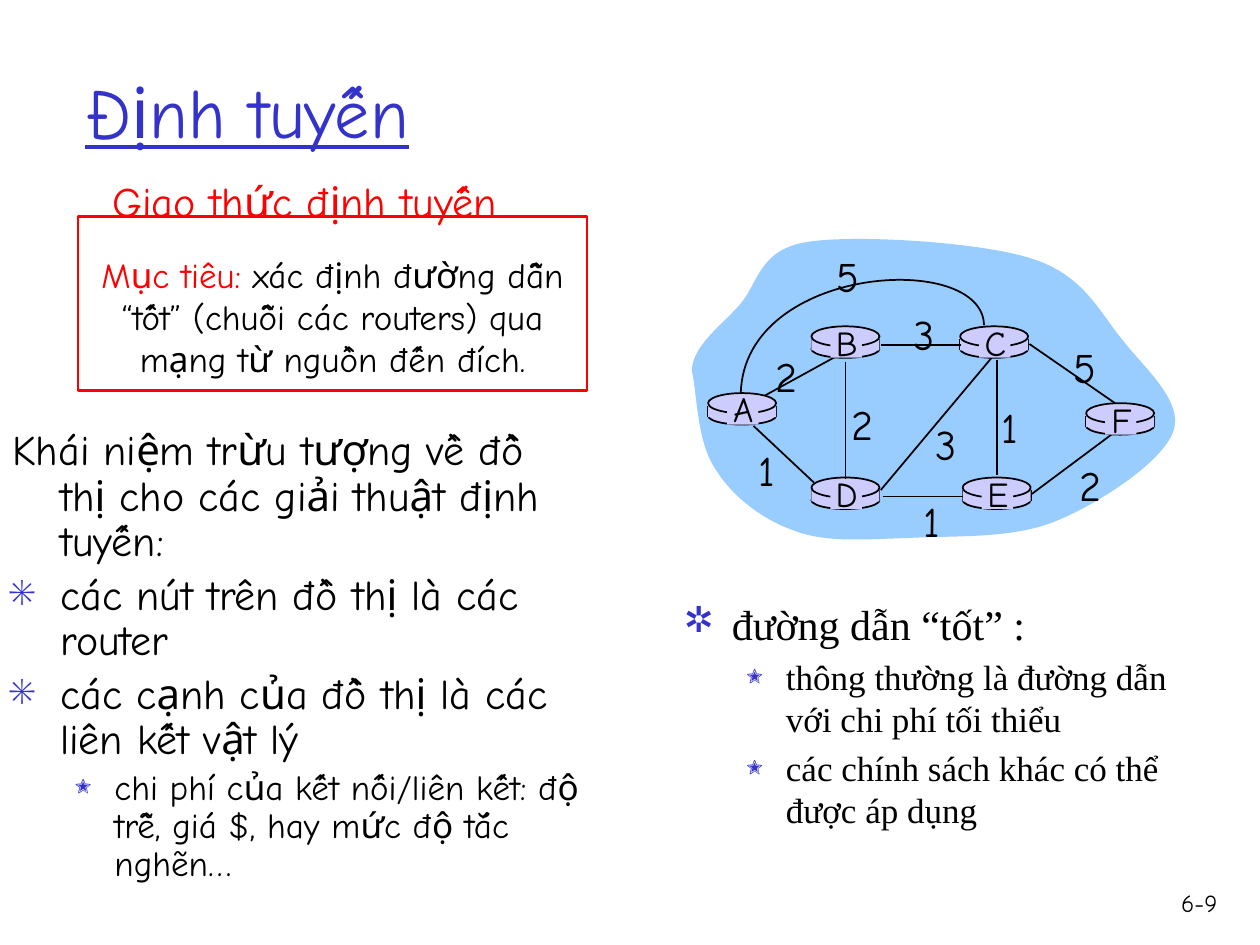
from lxml import etree
from pptx import Presentation
from pptx.dml.color import RGBColor
from pptx.enum.shapes import MSO_CONNECTOR, MSO_SHAPE
from pptx.enum.text import MSO_ANCHOR, PP_ALIGN
from pptx.oxml.ns import qn
from pptx.util import Inches, Pt

LEFT, MID, RIGHT = PP_ALIGN.LEFT, PP_ALIGN.CENTER, PP_ALIGN.RIGHT
CENTER = MSO_ANCHOR.MIDDLE
RECT, OVAL = MSO_SHAPE.RECTANGLE, MSO_SHAPE.OVAL
STRAIGHT = MSO_CONNECTOR.STRAIGHT
COMIC, TIMES, SIGNS = "Comic Neue", "Times New Roman", "ZapfDingbats"
BLACK, RED, BLUE = "000000", "FF0000", "3333CC"
LILAC, SKY = "CCCCFF", "99CCFF"
LEVELS = [(24, 0.38, 0.38, 85), (20, 0.81, 0.31, 75)]


def color(code):
    return RGBColor.from_string(code)


class Board:
    def __init__(self, slide):
        self.slide = slide
        self.shapes = slide.shapes

    def style(self, run, size, ink=BLACK, font=COMIC):
        run.font.size = Pt(size)
        run.font.name = font
        run.font.color.rgb = color(ink)

    def box(self, area, wrap=True):
        frame = self.shapes.add_textbox(*map(Inches, area)).text_frame
        frame.word_wrap = wrap
        return frame

    def text(self, area, words, size, ink=BLACK, align=MID, wrap=False):
        frame = self.box(area, wrap)
        frame.text = words
        para = frame.paragraphs[0]
        para.alignment = align
        self.style(para.runs[0], size, ink)
        return frame

    def bullet(self, props, mark, scale):
        tint = etree.SubElement(props, qn("a:buClr"))
        etree.SubElement(tint, qn("a:srgbClr"), val=BLUE)
        etree.SubElement(props, qn("a:buSzPct"), val=str(scale * 1000))
        etree.SubElement(props, qn("a:buFont"), typeface=SIGNS)
        etree.SubElement(props, qn("a:buChar"), char=mark)

    def list(self, area, items, font, space=1.0):
        frame = self.box(area)
        for i, (level, mark, words) in enumerate(items):
            para = frame.add_paragraph() if i else frame.paragraphs[0]
            para.text = words
            para.level = level
            size, margin, hang, scale = LEVELS[level]
            props = para._p.get_or_add_pPr()
            props.set("marL", str(Inches(margin)))
            props.set("indent", str(-Inches(hang)))
            if mark:
                self.bullet(props, mark, scale)
            para.line_spacing = space
            para.space_before = Pt(size * 0.2 if i else 0)
            self.style(para.runs[0], size, font=font)

    def paint(self, shape, fill, ink, width=1):
        shape.shadow.inherit = False
        if fill:
            shape.fill.solid()
            shape.fill.fore_color.rgb = color(fill)
        else:
            shape.fill.background()
        if ink:
            shape.line.color.rgb = color(ink)
            shape.line.width = Pt(width)
        else:
            shape.line.fill.background()

    def shape(self, kind, area, fill=None, ink=None, width=1):
        shape = self.shapes.add_shape(kind, *map(Inches, area))
        self.paint(shape, fill, ink, width)

    def curve(self, points, fill=None, ink=None, close=False):
        spots = [(Inches(x), Inches(y)) for x, y in points]
        build = self.shapes.build_freeform(*spots[0])
        build.add_line_segments(spots[1:], close=close)
        shape = build.convert_to_shape()
        parts = list(shape._element.iter(qn("a:lnTo")))
        for i in range(0, len(spots) - 1, 3):
            bend = etree.Element(qn("a:cubicBezTo"))
            parts[i].addprevious(bend)
            for part in parts[i:i + 3]:
                bend.append(part[0])
                part.getparent().remove(part)
        self.paint(shape, fill, ink)

    def line(self, *ends):
        line = self.shapes.add_connector(STRAIGHT, *map(Inches, ends))
        line.line.color.rgb = color(BLACK)
        line.line.width = Pt(1)
        etree.SubElement(line._element.spPr, qn("a:effectLst"))

    def router(self, x, y):
        self.shape(OVAL, (x, y + 0.01, 0.54, 0.14), LILAC, BLACK)
        for side in (x, x + 0.54):
            self.line(side, y, side, y + 0.09)
        self.shape(RECT, (x, y, 0.54, 0.09), LILAC)
        self.shape(OVAL, (x, y - 0.1, 0.54, 0.16), LILAC, BLACK)

    def label(self, name, x, y):
        self.shape(RECT, (x + 0.15, y - 0.08, 0.25, 0.23), LILAC)
        self.text((x + 0.09, y - 0.19, 0.38, 0.43), name, 20)


CLOUD = [
    (5.49, 2.94),
    (5.5, 2.74), (5.72, 2.59), (5.87, 2.42),
    (6.02, 2.25), (6.02, 1.98), (6.41, 1.92),
    (6.79, 1.86), (7.77, 1.92), (8.18, 2.05),
    (8.6, 2.18), (8.72, 2.47), (8.91, 2.7),
    (9.09, 2.93), (9.4, 3.19), (9.31, 3.43),
    (9.22, 3.67), (8.72, 4), (8.37, 4.14),
    (8.02, 4.28), (7.56, 4.25), (7.21, 4.27),
    (6.87, 4.28), (6.55, 4.31), (6.3, 4.21),
    (6.04, 4.12), (5.8, 3.93), (5.67, 3.71),
    (5.53, 3.5), (5.53, 3.1), (5.49, 2.94)]
ARC = [(7.81, 2.58), (7.8, 1.99), (5.92, 2.1), (5.88, 3.11)]
NODES = {"A": (5.62, 3.22), "D": (6.44, 3.89), "B": (6.44, 2.69),
         "C": (7.62, 2.69), "E": (7.64, 3.89), "F": (8.62, 3.3)}
EDGES = [
    (7.91, 2.86, 7.91, 3.77), (6.71, 2.87, 6.71, 3.8),
    (6.99, 3.89, 7.87, 2.84), (8.19, 3.92, 8.82, 3.45),
    (7.64, 3.94, 7.01, 3.94), (6.46, 3.83, 5.98, 3.38),
    (7.63, 2.74, 6.99, 2.74), (8.85, 3.2, 8.17, 2.73)]
COSTS = [
    ("2", 6.06, 2.73), ("2", 6.66, 3.11), ("1", 5.91, 3.48), ("3", 7.33, 3.27),
    ("1", 7.22, 3.88), ("1", 7.84, 3.14), ("2", 8.47, 3.6), ("5", 8.42, 2.66),
    ("3", 7.15, 2.4), ("5", 6.54, 1.94)]
GRAPH = [
    (0, "", "Khái niệm trừu tượng về đồ thị cho các giải thuật định tuyến:"),
    (0, "❑", "các nút trên đồ thị là các router"),
    (0, "❑", "các cạnh của đồ thị là các liên kết vật lý"),
    (1, "❍", "chi phí của kết nối/liên kết: độ trễ, giá $, hay mức độ tắc nghẽn…")]
GOOD = [
    (0, "❒", "đường dẫn “tốt” :"),
    (1, "❍", "thông thường là đường dẫn với chi phí tối thiểu"),
    (1, "❍", "các chính sách khác có thể được áp dụng")]


def main():
    deck = Presentation()
    deck.slide_width, deck.slide_height = Inches(10), Inches(7.5)
    board = Board(deck.slides.add_slide(deck.slide_layouts[6]))

    board.text((9.08, 7, 0.68, 0.5), "6-9", 14, align=RIGHT, wrap=True)
    title = board.text((0.58, 0.25, 8.5, 1.25), "Định tuyến", 40, BLUE, LEFT, True)
    title.vertical_anchor = CENTER
    title.paragraphs[0].runs[0].font.underline = True
    board.list((0, 3.36, 4.7, 3.8), GRAPH, COMIC, 0.9)

    goal = board.text((0.61, 1.96, 4.06, 1.1), "Mục tiêu:", 20, RED, wrap=True)
    rest = goal.paragraphs[0].add_run()
    rest.text = " xác định đường dẫn “tốt” (chuỗi các routers) qua mạng từ nguồn đến đích."
    board.style(rest, 20)
    board.shape(RECT, (0.62, 1.72, 4.04, 1.38), ink=RED, width=1.5)
    board.text((0.74, 1.34, 3.35, 0.5), "Giao thức định tuyến", 24, RED)

    board.curve(CLOUD, SKY, close=True)
    board.line(6.07, 3.14, 6.67, 2.81)
    for spot in NODES.values():
        board.router(*spot)
    for edge in EDGES:
        board.line(*edge)
    board.curve(ARC, ink=BLACK)
    for name, spot in NODES.items():
        board.label(name, *spot)
    for cost, x, y in COSTS:
        board.text((x, y, 0.35, 0.4), cost, 24)

    board.list((5.33, 4.7, 4.17, 1.86), GOOD, TIMES)
    deck.save("out.pptx")


if __name__ == "__main__":
    main()
